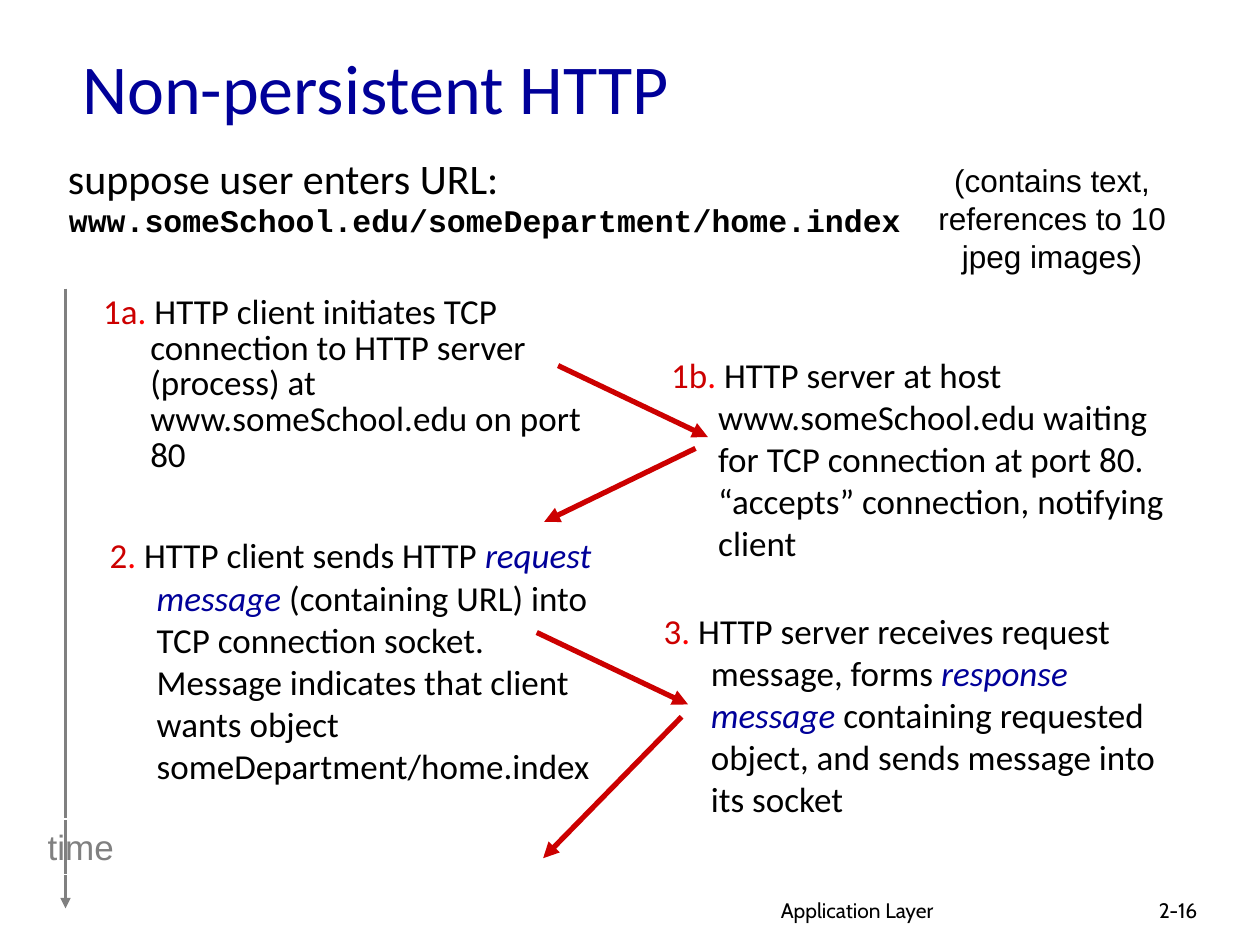
from lxml import etree
from pptx import Presentation
from pptx.dml.color import RGBColor
from pptx.enum.shapes import MSO_CONNECTOR, MSO_SHAPE
from pptx.enum.text import MSO_ANCHOR, PP_ALIGN
from pptx.oxml.ns import qn
from pptx.util import Cm, Pt

THEME = {
    "black": "000000", "blue": "000099", "red": "CC0000", "bright": "FF0000",
    "gray": "808080", "white": "FFFFFF",
    "title": 40, "lead": 24, "step": 20, "note": 18, "foot": 12,
    "body": "Calibri", "sans": "Arial", "mono": "Courier New", "footer": "Cabin",
}
HANG = 0.95  # hanging indent, cm

TITLE = ("Non-persistent HTTP", (1.4, 0.53, 21.59, 2.41))

# number, box in cm, line spacing, text with *emphasis*
STEPS = [
    ("1a", (1.83, 5.84, 10.95, 5.28), 0.85,
     "HTTP client initiates TCP connection to HTTP server (process) at "
     "www.someSchool.edu on port 80"),
    ("2", (1.96, 10.64, 10.59, 3), 1,
     "HTTP client sends HTTP *request message* (containing URL) into TCP connection "
     "socket. Message indicates that client wants object someDepartment/home.index"),
    ("1b", (13.28, 7.01, 10.59, 4.19), 1,
     "HTTP server at host www.someSchool.edu waiting for TCP connection at port 80. "
     "“accepts” connection, notifying client"),
    ("3", (13.13, 12.17, 10.59, 5), 1,
     "HTTP server receives request message, forms *response message* containing "
     "requested object, and sends message into its socket"),
]

# text, box in cm, size, font, bold, line spacing
LINES = [
    ("suppose user enters URL:", (1.12, 3.1, 22.07, 1.3), "lead", "body", False, 0.85),
    ("www.someSchool.edu/someDepartment/home.index",
     (1.14, 4.04, 22.07, 1.3), "note", "mono", True, 0.85),
    ("Application Layer", (15.49, 17.96, 8.05, 0.79), "foot", "footer", False, 1),
    ("2-16", (23.11, 17.96, 1.88, 0.76), "foot", "footer", False, 1),
]

NOTE = (["(contains text,", "references to 10", "jpeg images)"], (18.57, 3.12, 5.28, 2.54))
TIME = ("time", (0.69, 16.51, 1.88, 1.12))

TIMELINE = (1.32, 5.82, 1.32, 18.31)
MESSAGES = [
    (11.25, 7.37, 14.27, 8.81), (14.02, 9.04, 10.97, 10.52),
    (10.82, 12.75, 13.87, 14.2), (13.74, 14.45, 10.95, 17.3),
]


def rgb(name):
    return RGBColor.from_string(THEME[name])


def add_run(p, text, size, font="body", color="black", **style):
    r = p.add_run()
    r.text = text
    style.update(size=Pt(THEME[size]), name=THEME[font])
    for key, value in style.items():
        setattr(r.font, key, value)
    r.font.color.rgb = rgb(color)


def add_box(shapes, box, wrap=True):
    tf = shapes.add_textbox(*map(Cm, box)).text_frame
    tf.word_wrap = wrap
    return tf


def add_arrow(shapes, ends, color, width):
    s = shapes.add_connector(MSO_CONNECTOR.STRAIGHT, *map(Cm, ends))
    s.line.color.rgb = rgb(color)
    s.line.width = Pt(width)
    etree.SubElement(s.line._get_or_add_ln(), qn("a:tailEnd"), type="triangle")
    etree.SubElement(s._element.spPr, qn("a:effectLst"))


def add_step(shapes, number, box, spacing, text):
    p = add_box(shapes, box).paragraphs[0]
    p.line_spacing = spacing
    pPr = p._p.get_or_add_pPr()
    pPr.set("marL", str(Cm(HANG)))
    pPr.set("indent", str(-Cm(HANG)))
    add_run(p, number, "step", color="red")
    add_run(p, ".", "step", color="bright")
    for i, part in enumerate((" " + text).split("*")):
        emphasis = i % 2 == 1
        add_run(p, part, "step", color="blue" if emphasis else "black", italic=emphasis)


def add_title(s, text, box):
    s.left, s.top, s.width, s.height = map(Cm, box)
    tf = s.text_frame
    tf.vertical_anchor = MSO_ANCHOR.MIDDLE
    p = tf.paragraphs[0]
    p.alignment = PP_ALIGN.LEFT
    add_run(p, text, "title", color="blue")


def add_time_label(shapes, text, box):
    s = shapes.add_shape(MSO_SHAPE.RECTANGLE, *map(Cm, box))
    s.shadow.inherit = False
    s.fill.background()
    s.line.color.rgb = rgb("white")
    s.line.width = Pt(0.75)
    tf = s.text_frame
    tf.word_wrap = False
    p = tf.paragraphs[0]
    p.alignment = PP_ALIGN.CENTER
    add_run(p, text, "step", "sans", "gray")


def main():
    prs = Presentation()
    prs.slide_width, prs.slide_height = Cm(25.4), Cm(19.05)
    slide = prs.slides.add_slide(prs.slide_layouts[5])
    shapes = slide.shapes

    add_title(shapes.title, *TITLE)
    add_arrow(shapes, TIMELINE, "gray", 1.5)
    add_time_label(shapes, *TIME)

    for text, box, size, font, bold, spacing in LINES:
        p = add_box(shapes, box).paragraphs[0]
        p.line_spacing = spacing
        add_run(p, text, size, font, bold=bold)

    for step in STEPS:
        add_step(shapes, *step)
    for ends in MESSAGES:
        add_arrow(shapes, ends, "red", 3)

    rows, box = NOTE
    tf = add_box(shapes, box, wrap=False)
    for i, row in enumerate(rows):
        p = tf.add_paragraph() if i else tf.paragraphs[0]
        p.alignment = PP_ALIGN.CENTER
        add_run(p, row, "note", "sans")

    prs.save("out.pptx")


if __name__ == "__main__":
    main()
